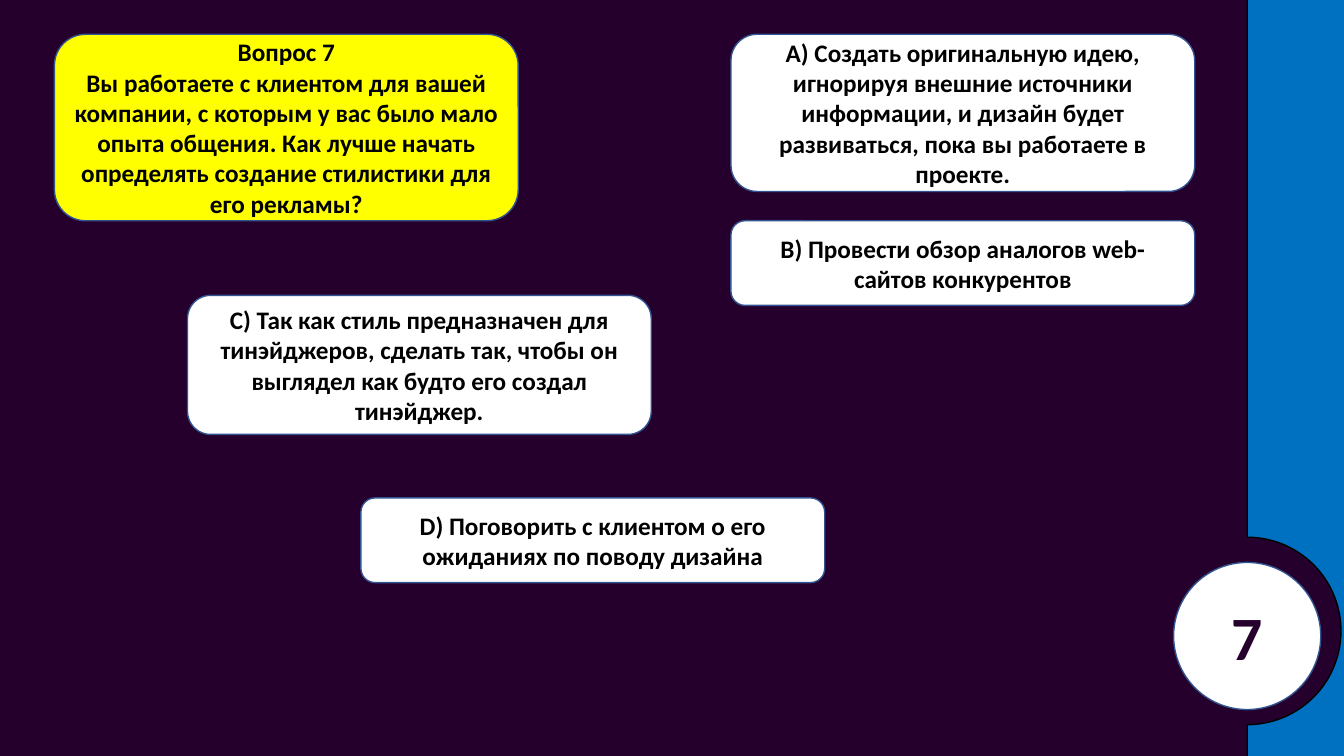
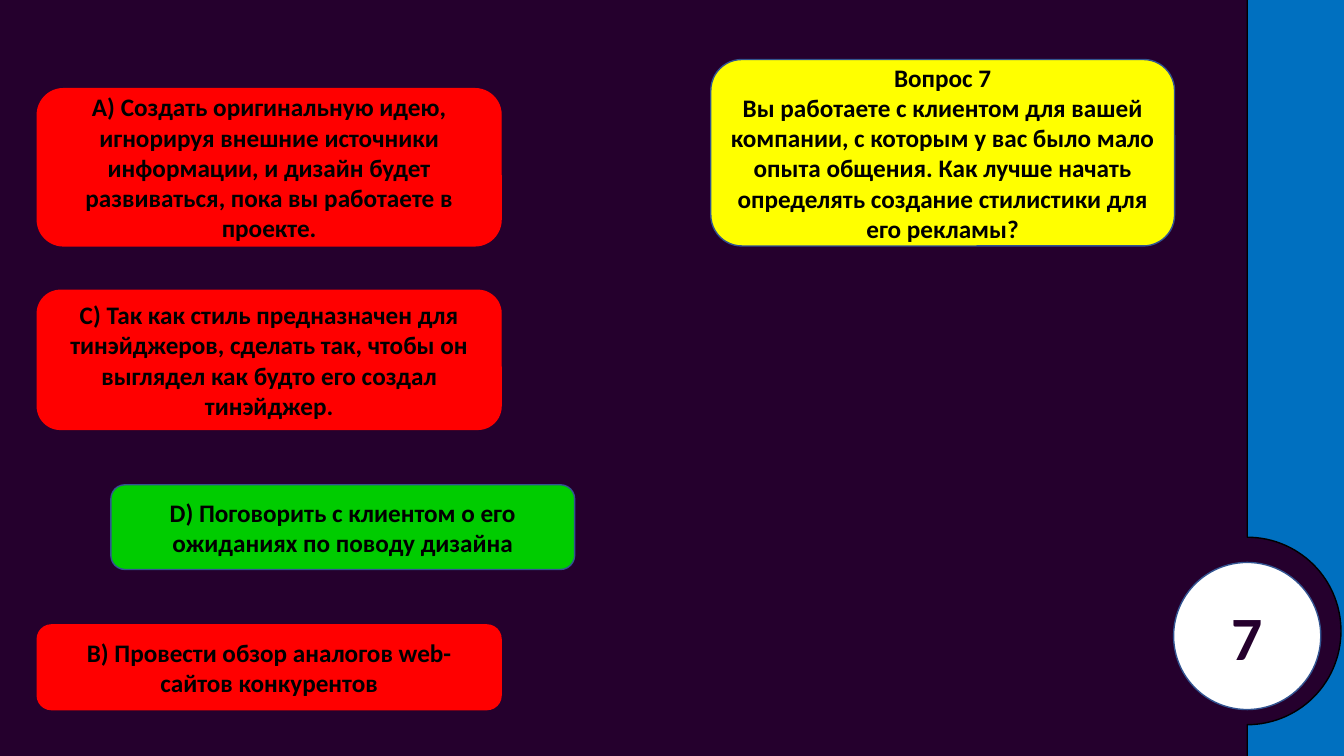
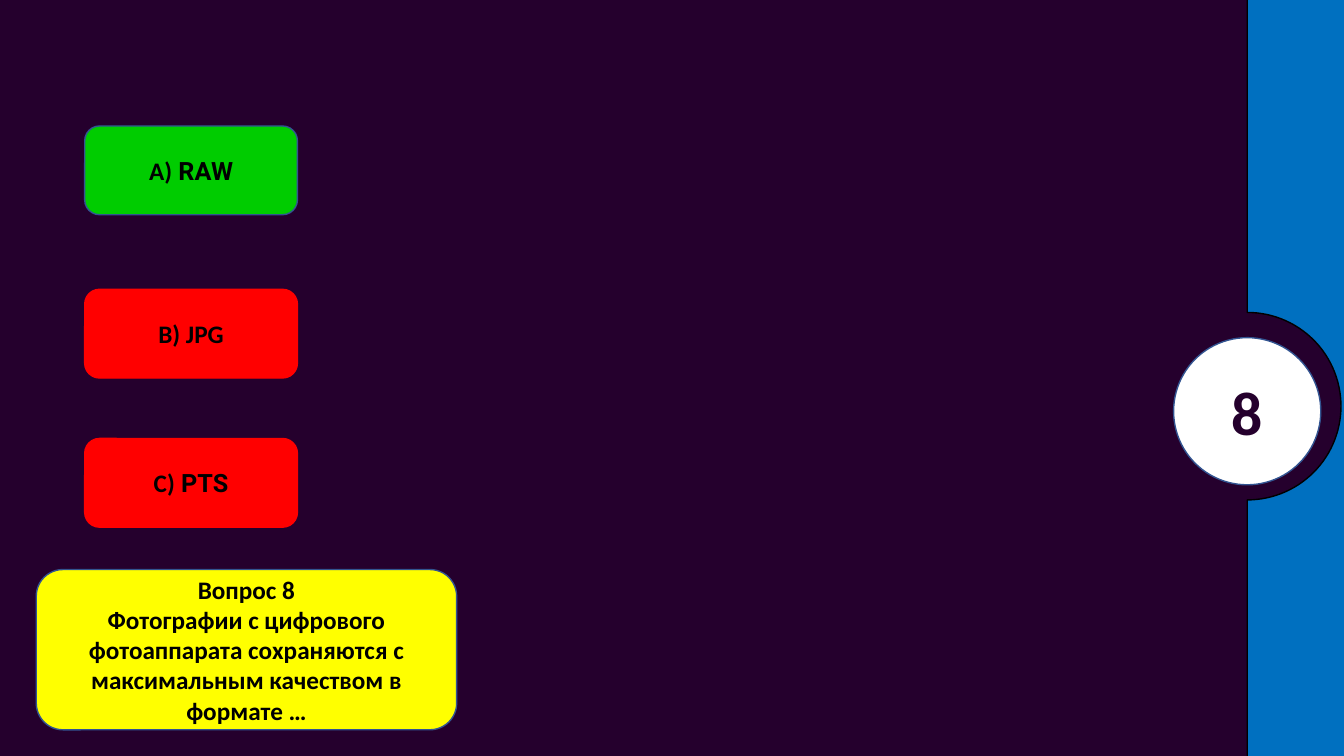
import math

from pptx import Presentation
from pptx.dml.color import RGBColor
from pptx.enum import shapes, text
from pptx.util import Inches, Pt

# Shared look
NIGHT, BLUE, OUTLINE = "25002D", "0070C0", "325491"
YELLOW, WHITE, RED, GREEN, BLACK = "FFFF00", "FFFFFF", "FF0000", "00CC00", "000000"
SLIDE_W, SLIDE_H = 13.33, 7.5
BAND_X, NOTCH_R, BADGE_D = 12.37, 0.93, 1.46
NOTCH_RISE = 0.05   # the notch sits slightly above the badge centre
BLEED = 0.03        # keeps the band outline off the slide edges

# Content: each text is a list of paragraphs, each paragraph a list of (words, font)
def plain(*paragraphs):
    return [[(words, "Calibri")] for words in paragraphs]


def format_answer(letter, name):
    return [[(letter, "Calibri"), (" " + name, "Roboto")]]


QUESTION_7 = plain(
    "Вопрос 7",
    "Вы работаете с клиентом для вашей компании, с которым у вас было мало опыта общения. "
    "Как лучше начать определять создание стилистики для его рекламы?")
QUESTION_8 = plain(
    "Вопрос 8",
    "Фотографии с цифрового фотоаппарата сохраняются с максимальным качеством в формате …")
IDEA = plain("А) Создать оригинальную идею, игнорируя внешние источники информации, "
             "и дизайн будет развиваться, пока вы работаете в проекте.")
REVIEW = plain("В) Провести обзор аналогов web-cайтов конкурентов")
TEEN = plain("С) Так как стиль предназначен для тинэйджеров, сделать так, "
             "чтобы он выглядел как будто его создал тинэйджер.")
TALK = plain("D) Поговорить с клиентом о его ожиданиях по поводу дизайна")

WIDE_Q, WIDE_5, WIDE_4, WIDE_2 = (4.6, 1.85), (4.6, 1.56), (4.6, 1.38), (4.6, 0.84)
SMALL, QUESTION_8_SIZE = (2.11, 0.88), (4.17, 1.59)

# Slides: number, badge top, cards (text, left, top, size, fill)
SLIDES = [
    ("7", 5.58, [
        (QUESTION_7, 0.54, 0.34, WIDE_Q, YELLOW),
        (IDEA, 7.25, 0.34, WIDE_5, WHITE),
        (REVIEW, 7.25, 2.19, WIDE_2, WHITE),
        (TEEN, 1.86, 2.93, WIDE_4, WHITE),
        (TALK, 3.58, 4.94, WIDE_2, WHITE),
    ]),
    ("7", 5.58, [
        (QUESTION_7, 7.05, 0.59, WIDE_Q, YELLOW),
        (IDEA, 0.37, 0.88, WIDE_5, RED),
        (REVIEW, 0.37, 6.2, WIDE_2, RED),
        (TEEN, 0.37, 2.88, WIDE_4, RED),
        (TALK, 1.1, 4.81, WIDE_2, GREEN),
    ]),
    ("8", 3.35, [
        (format_answer("A)", "RAW"), 0.84, 1.25, SMALL, GREEN),
        (plain("B) JPG"), 0.84, 2.87, SMALL, RED),
        (format_answer("C)", "PTS"), 0.84, 4.35, SMALL, RED),
        (QUESTION_8, 0.36, 5.65, QUESTION_8_SIZE, YELLOW),
    ]),
]


def paint(target, hex_color):
    target.solid()
    target.fore_color.rgb = RGBColor.from_string(hex_color)


def style(shape, fill, line):
    shape.shadow.inherit = False
    paint(shape.fill, fill)
    paint(shape.line.fill, line)
    shape.line.width = Pt(1)


def write(shape, paragraphs, size, color):
    frame = shape.text_frame
    frame.word_wrap = True
    frame.vertical_anchor = text.MSO_ANCHOR.MIDDLE
    for i, parts in enumerate(paragraphs):
        paragraph = frame.add_paragraph() if i else frame.paragraphs[0]
        paragraph.alignment = text.PP_ALIGN.CENTER
        for words, font_name in parts:
            run = paragraph.add_run()
            run.text = words
            run.font.name = font_name
            run.font.size = Pt(size)
            run.font.bold = True
            run.font.color.rgb = RGBColor.from_string(color)


def add_labelled(slide, kind, box, fill, line, paragraphs, size, color):
    shape = slide.shapes.add_shape(kind, *map(Inches, box))
    style(shape, fill, line)
    write(shape, paragraphs, size, color)


def add_band(slide, notch_y):
    """Side band with a half-round notch bulging into it."""
    right, top, bottom = SLIDE_W + BLEED, -BLEED, SLIDE_H + BLEED
    arc = [(BAND_X + NOTCH_R * math.cos(math.radians(a)),
            notch_y + NOTCH_R * math.sin(math.radians(a))) for a in range(-90, 91, 3)]
    outline = [(right, top), (BAND_X, top), *arc, (BAND_X, bottom), (right, bottom)]
    points = [(Inches(x), Inches(y)) for x, y in outline]
    builder = slide.shapes.build_freeform(*points[0])
    builder.add_line_segments(points[1:], close=True)
    style(builder.convert_to_shape(), BLUE, BLACK)


def main():
    deck = Presentation()
    deck.slide_width, deck.slide_height = Inches(SLIDE_W), Inches(SLIDE_H)
    paint(deck.slide_master.background.fill, NIGHT)
    blank = deck.slide_layouts[6]

    for number, badge_top, cards in SLIDES:
        slide = deck.slides.add_slide(blank)
        # Band and number badge
        add_band(slide, badge_top + BADGE_D / 2 - NOTCH_RISE)
        badge = (BAND_X - BADGE_D / 2, badge_top, BADGE_D, BADGE_D)
        add_labelled(slide, shapes.MSO_SHAPE.OVAL, badge, WHITE, OUTLINE,
                     plain(number), 44, NIGHT)
        # Question and answers; wrong answers have a red outline
        for paragraphs, left, top, size, fill in cards:
            add_labelled(slide, shapes.MSO_SHAPE.ROUNDED_RECTANGLE, (left, top, *size),
                         fill, RED if fill == RED else OUTLINE, paragraphs, 18, BLACK)

    deck.save("out.pptx")


if __name__ == "__main__":
    main()
